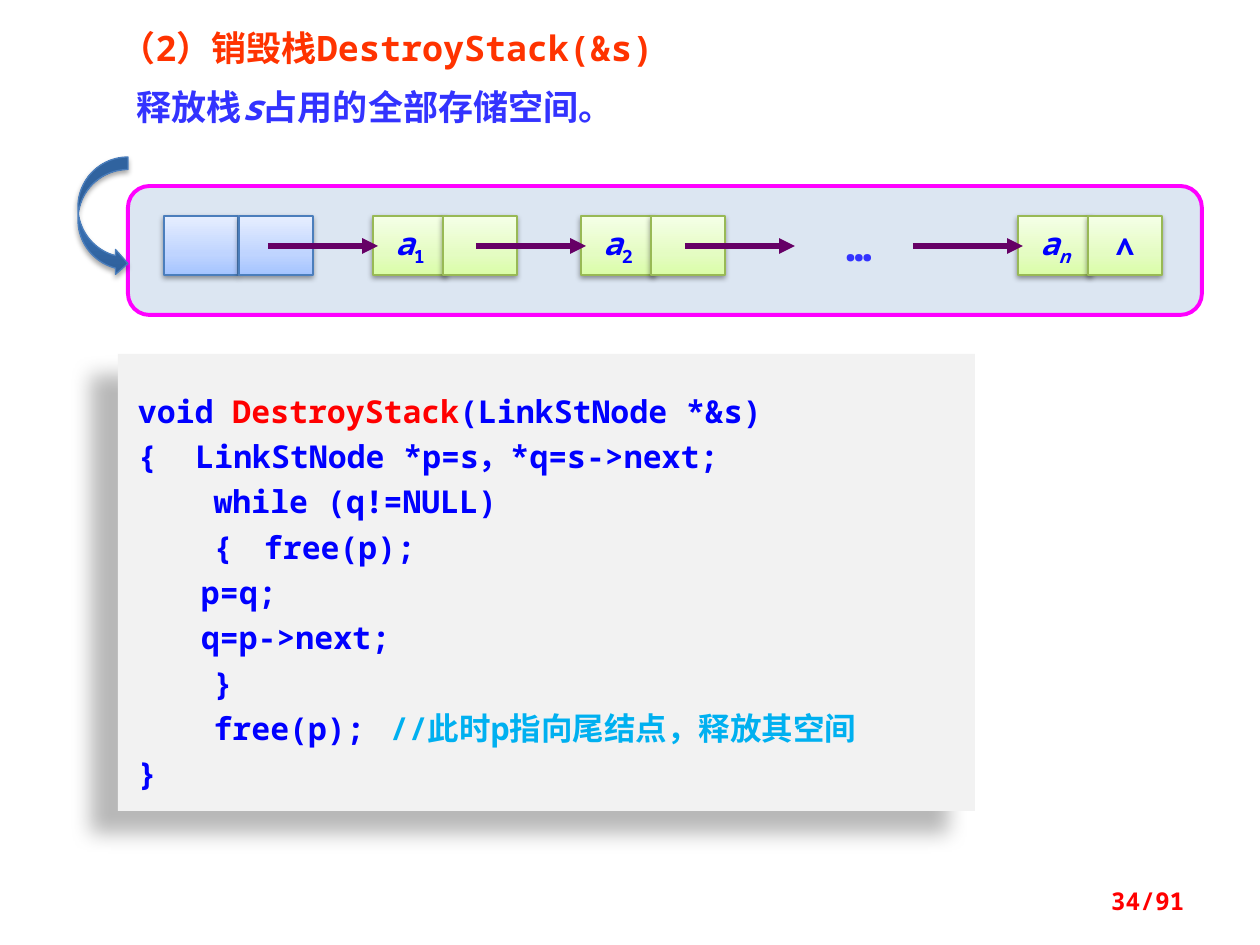
from lxml import etree
from pptx import Presentation
from pptx import util as u
from pptx.dml.color import RGBColor
from pptx.enum import shapes, text
from pptx.oxml import parse_xml
from pptx.oxml.ns import nsdecls, qn

PX = 914400 / 126
FONT = "Noto Sans Mono"
C = {
    "heading": "FF3300", "violet": "3333FF", "code": "0000FF", "red": "FF0000",
    "comment": "00B0F0", "panel": "F2F2F2", "stack": "DCE6F2", "frame": "FF00FF",
    "arrow": "660066", "blue_line": "4B7EBC", "green_line": "98B955", "black": "000000",
}
GRADS = {
    "blue": [(0, "A4C4FF"), (35, "BFD4FF"), (100, "E6EEFF")],
    "green": [(0, "DAFDA7"), (35, "E4FCC2"), (100, "F5FFE7")],
    "curve": [(0, "2F5F99"), (80, "3D7CC7"), (100, "3A7CCB")],
}
CODE = [
    [("void ", "code"), ("DestroyStack", "red"), ("(LinkStNode *&s)", "code")],
    [("{　 LinkStNode *p=s，*q=s->next;", "code")],
    [("    while (q!=NULL)", "code")],
    [("    {\tfree(p);", "code")],
    [("\tp=q;", "code")],
    [("\tq=p->next;", "code")],
    [("    }", "code")],
    [("    free(p);\t", "code"), ("//此时p指向尾结点，释放其空间", "comment")],
    [("}", "code")],
]


def px(n):
    """Turn px into EMU."""
    return u.Emu(round(n * PX))


def rgb(name):
    """Look up a named colour."""
    return RGBColor.from_string(C[name])


def add_run(p, words, size, color, italic=False, baseline=0):
    """Add one bold run to a paragraph."""
    r = p.add_run()
    r.text = words
    f = r.font
    f.name, f.size, f.bold, f.italic = FONT, u.Pt(size), True, italic
    f.color.rgb = rgb(color)
    if baseline:
        r._r.get_or_add_rPr().set("baseline", str(baseline * 1000))


def add_box(s, kind, x, y, w, h, line=None, width=0.75):
    """Add a preset shape with its outline and no inherited shadow."""
    sp = s.shapes.add_shape(kind, px(x), px(y), px(w), px(h))
    sp.shadow.inherit = False
    if line:
        sp.line.color.rgb = rgb(line)
        sp.line.width = u.Pt(width)
    else:
        sp.line.fill.background()
    return sp


def add_solid(sp, color):
    """Fill a shape with one colour."""
    sp.fill.solid()
    sp.fill.fore_color.rgb = rgb(color)


def add_gradient(sp, name):
    """Fill a shape with a vertical three-stop gradient."""
    stops = "".join(f'<a:gs pos="{pos * 1000}"><a:srgbClr val="{color}"/></a:gs>'
                    for pos, color in GRADS[name])
    grad = parse_xml(f'<a:gradFill {nsdecls("a")} rotWithShape="1"><a:gsLst>{stops}</a:gsLst>'
                     '<a:lin ang="16200000" scaled="0"/></a:gradFill>')
    sp._element.spPr.find(qn("a:prstGeom")).addnext(grad)


def add_shadow(sp, alpha, blur, dist, angle):
    """Give a shape an outer shadow, with blur and distance in points."""
    effects = sp._element.spPr.find(qn("a:effectLst"))
    effects.append(parse_xml(
        f'<a:outerShdw {nsdecls("a")} blurRad="{u.Pt(blur)}" dist="{u.Pt(dist)}" '
        f'dir="{angle * 60000}" algn="ctr" rotWithShape="0"><a:srgbClr val="{C["black"]}">'
        f'<a:alpha val="{alpha * 1000}"/></a:srgbClr></a:outerShdw>'))


def add_text(s, x, y, w, h, words, size, color, align, anchor):
    """Add a one-line text box."""
    tf = s.shapes.add_textbox(px(x), px(y), px(w), px(h)).text_frame
    tf.word_wrap, tf.vertical_anchor = True, anchor
    p = tf.paragraphs[0]
    p.alignment = align
    add_run(p, words, size, color)


def add_heading(s, x, y, w, h):
    """Place the title with its explanation line."""
    sp = s.shapes.title
    sp.left, sp.top, sp.width, sp.height = px(x), px(y), px(w), px(h)
    tf = sp.text_frame
    tf.word_wrap, tf.auto_size = True, text.MSO_AUTO_SIZE.NONE
    tf.vertical_anchor = text.MSO_ANCHOR.TOP
    p = tf.paragraphs[0]
    p.alignment = text.PP_ALIGN.JUSTIFY
    add_run(p, "（2）销毁栈DestroyStack(&s)", 20, "heading")
    p = tf.add_paragraph()
    p.alignment, p.space_before = text.PP_ALIGN.JUSTIFY, u.Pt(10)
    p._p.get_or_add_pPr().set("marL", str(px(16)))
    add_run(p, "释放栈", 20, "violet")
    add_run(p, "s", 20, "violet", italic=True)
    add_run(p, "占用的全部存储空间。", 20, "violet")


def add_node(s, x, y, color, pitch, labels=((), ())):
    """Place a list node made of a data cell and a link cell."""
    for i, label in enumerate(labels):
        sp = add_box(s, shapes.MSO_SHAPE.RECTANGLE, x + i * pitch, y, 74, 59, f"{color}_line")
        add_gradient(sp, color)
        add_shadow(sp, 38, 3.1, 1.6, 90)
        tf = sp.text_frame
        tf.word_wrap, tf.vertical_anchor = False, text.MSO_ANCHOR.MIDDLE
        p = tf.paragraphs[0]
        p.alignment = text.PP_ALIGN.CENTER
        for words, italic, baseline in label:
            add_run(p, words, 18, "code", italic, baseline)


def add_arrow(s, x, y, length):
    """Draw a link arrow to the right."""
    cx = s.shapes.add_connector(shapes.MSO_CONNECTOR.STRAIGHT, px(x), px(y), px(x + length), px(y))
    cx.line.color.rgb, cx.line.width = rgb("arrow"), u.Pt(3)
    etree.SubElement(cx.line._get_or_add_ln(), qn("a:tailEnd"), type="triangle")
    etree.SubElement(cx._element.spPr, qn("a:effectLst"))


def add_stack(s, x, y, w, h):
    """Place the linked stack with its nodes, links and curved pointer."""
    sp = add_box(s, shapes.MSO_SHAPE.ROUNDED_RECTANGLE, x, y, w, h, "frame", 2.25)
    add_solid(sp, "stack")
    top = y + 30
    add_node(s, x + 36, top, "blue", 75)
    nodes = [(245, "1", False, ()), (453, "2", False, ()), (890, "n", True, [("∧", False, 0)])]
    for dx, index, italic, link in nodes:
        data = [("a", True, 0), (index, italic, -25)]
        add_node(s, x + dx, top, "green", 70, (data, link))
    for dx in (140, 348, 557, 785):
        add_arrow(s, x + dx, top + 30, 110)
    add_text(s, x + 671, top - 3, 120, 63, "…", 24, "violet",
             text.PP_ALIGN.CENTER, text.MSO_ANCHOR.TOP)
    sp = add_box(s, shapes.MSO_SHAPE.CURVED_RIGHT_ARROW, x - 50, y - 29, 50, 119, "blue_line")
    add_gradient(sp, "curve")
    add_shadow(sp, 35, 3.1, 1.8, 90)


def add_code(s, x, y, w, h):
    """Place the code panel."""
    sp = add_box(s, shapes.MSO_SHAPE.RECTANGLE, x, y, w, h)
    add_solid(sp, "panel")
    add_shadow(sp, 28, 11.8, 19.7, 141)
    tf = sp.text_frame
    tf.word_wrap, tf.vertical_anchor = True, text.MSO_ANCHOR.TOP
    tf.margin_left = tf.margin_right = px(20)
    tf.margin_top, tf.margin_bottom = px(30), px(15)
    for i, line in enumerate(CODE):
        p = tf.add_paragraph() if i else tf.paragraphs[0]
        p.alignment, p.line_spacing = text.PP_ALIGN.LEFT, 1.2
        for words, color in line:
            add_run(p, words, 18, color)


def main():
    """Build and save the slide."""
    prs = Presentation()
    prs.slide_width, prs.slide_height = px(1260), px(945)
    s = prs.slides.add_slide(prs.slide_layouts[5])
    add_heading(s, 108, 20, 610, 118)
    add_stack(s, 128, 186, 1074, 129)
    add_code(s, 118, 354, 857, 457)
    add_text(s, 903, 876, 294, 50, "34/91", 14, "red",
             text.PP_ALIGN.RIGHT, text.MSO_ANCHOR.MIDDLE)
    prs.save("out.pptx")


if __name__ == "__main__":
    main()
